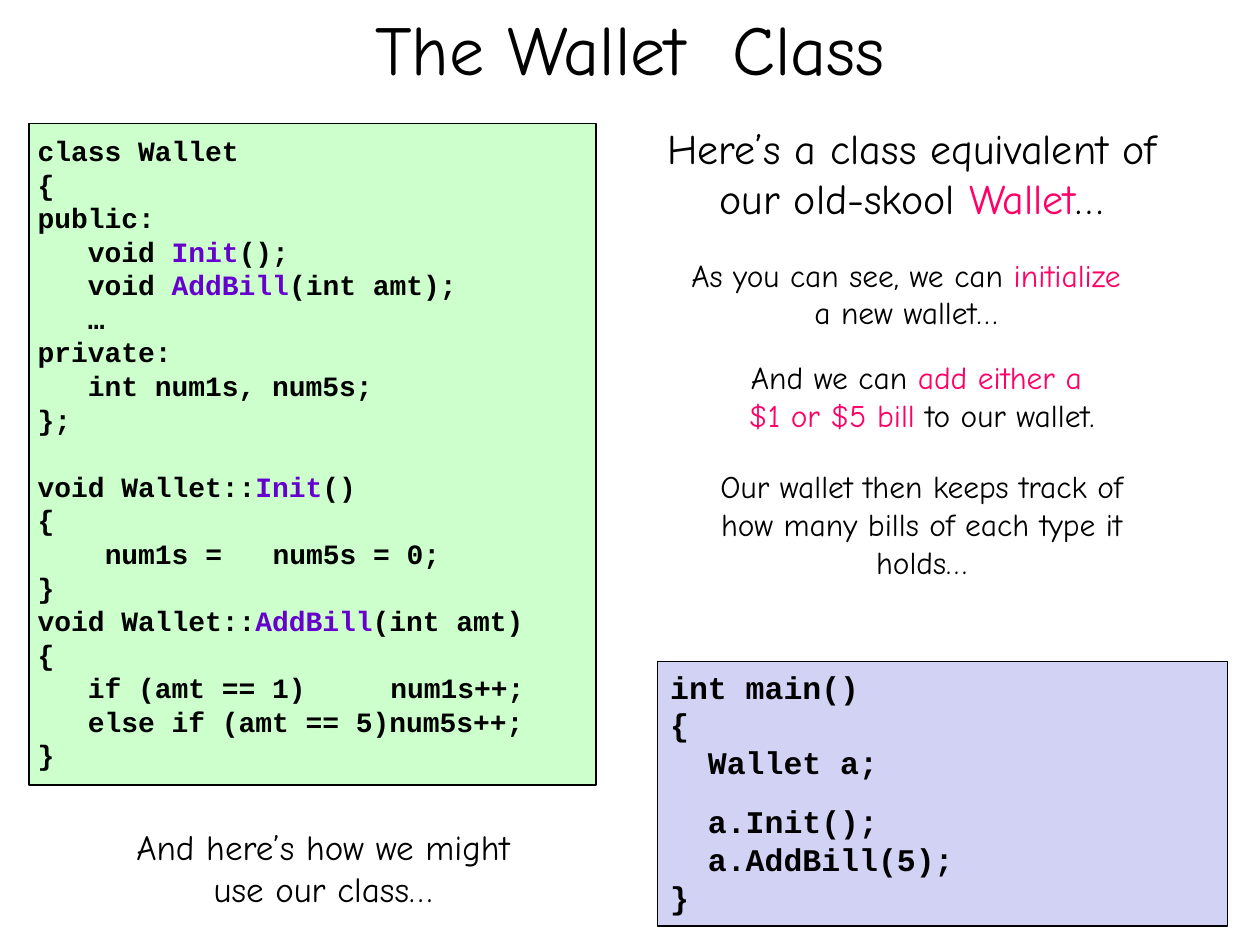
from dataclasses import dataclass

from lxml import etree
from pptx import Presentation
from pptx.dml.color import RGBColor
from pptx.enum.shapes import MSO_SHAPE
from pptx.enum.text import MSO_ANCHOR, MSO_AUTO_SIZE, PP_ALIGN
from pptx.oxml.ns import qn
from pptx.util import Inches, Pt

RECT = MSO_SHAPE.RECTANGLE
TOP, MIDDLE = MSO_ANCHOR.TOP, MSO_ANCHOR.MIDDLE
NO_FIT = MSO_AUTO_SIZE.NONE
LEFT, CENTER = PP_ALIGN.LEFT, PP_ALIGN.CENTER
TITLE_ONLY = 5


@dataclass(frozen=True)
class Theme:
    prose_font: str = "Comic Neue"
    code_font: str = "Courier New"
    ink: str = "000000"
    pink: str = "FF0066"
    purple: str = "6600CC"
    green: str = "CCFFCC"
    lavender: str = "D2D2F4"
    title: int = 40
    lead: int = 24
    closing: int = 20
    note: int = 18
    class_code: int = 16
    main_code: int = 18
    border: float = 0.75
    char_width: float = 0.6


CLASS_CODE = [
    ("class Wallet",),
    ("{",),
    ("public:",),
    ("\tvoid |Init|();", 3),
    ("\tvoid |AddBill|(int amt);", 3),
    ("\t…", 3),
    ("private:",),
    ("\tint num1s, num5s;", 3),
    ("};",),
    ("void Wallet::|Init|()",),
    ("{",),
    ("\tnum1s =\tnum5s = 0;", 4, 14),
    ("}",),
    ("void Wallet::|AddBill|(int amt)",),
    ("{",),
    ("\tif (amt == 1)\tnum1s++;", 3, 21),
    ("\telse if (amt == 5)num5s++;", 3),
    ("}",),
]

MAIN_CODE = [
    ("int main()",),
    ("{",),
    ("\tWallet a;", 2),
    ("\ta.Init();", 2),
    ("\ta.AddBill(5);", 2),
    ("}",),
]


class SlideBuilder:
    def __init__(self, slide, theme):
        self.slide = slide
        self.theme = theme

    def add_runs(self, p, text, font, size, accent, bold=False):
        for i, segment in enumerate(text.split("|")):
            for j, line in enumerate(segment.split("\n")):
                if j:
                    p.add_line_break()
                r = p.add_run()
                r.text = line
                r.font.name = font
                r.font.size = Pt(size)
                r.font.bold = bold
                r.font.color.rgb = RGBColor.from_string(accent if i % 2 else self.theme.ink)

    def prose(self, tf, text, size):
        p = tf.paragraphs[0]
        p.alignment = CENTER
        self.add_runs(p, text, self.theme.prose_font, size, self.theme.pink)

    def title(self, text, x, y, w, h):
        sp = self.slide.shapes.title
        sp.left, sp.top, sp.width, sp.height = map(Inches, (x, y, w, h))
        tf = sp.text_frame
        tf.auto_size = NO_FIT
        tf.vertical_anchor = MIDDLE
        self.prose(tf, text, self.theme.title)

    def text_box(self, x, y, w, h, wrap=True):
        sp = self.slide.shapes.add_textbox(*map(Inches, (x, y, w, h)))
        sp.text_frame.word_wrap = wrap
        return sp.text_frame

    def note(self, text, size, x, y, w, h, wrap=True):
        self.prose(self.text_box(x, y, w, h, wrap), text, size)

    def panel(self, fill, x, y, w, h):
        sp = self.slide.shapes.add_shape(RECT, *map(Inches, (x, y, w, h)))
        sp.shadow.inherit = False
        sp.fill.solid()
        sp.fill.fore_color.rgb = RGBColor.from_string(fill)
        sp.line.color.rgb = RGBColor.from_string(self.theme.ink)
        sp.line.width = Pt(self.theme.border)
        return sp.text_frame

    def tab_stops(self, p, columns, size):
        tabs = etree.SubElement(p._p.get_or_add_pPr(), qn("a:tabLst"))
        for column in columns:
            pos = Pt(column * size * self.theme.char_width)
            etree.SubElement(tabs, qn("a:tab"), pos=str(int(pos)), algn="l")

    def code(self, tf, lines, size, gap_line, gap):
        tf.vertical_anchor = TOP
        for i, (text, *columns) in enumerate(lines):
            p = tf.add_paragraph() if i else tf.paragraphs[0]
            p.alignment = LEFT
            if i == gap_line:
                p.space_before = Pt(gap)
            if columns:
                self.tab_stops(p, columns, size)
            self.add_runs(p, text, self.theme.code_font, size, self.theme.purple, bold=True)


def main():
    prs = Presentation()
    prs.slide_width, prs.slide_height = Inches(10), Inches(7.5)
    theme = Theme()
    s = SlideBuilder(prs.slides.add_slide(prs.slide_layouts[TITLE_ONLY]), theme)

    s.panel(theme.green, 0.23, 0.98, 4.5, 5.25)
    s.code(s.text_box(0.2, 1.01, 5, 5.49), CLASS_CODE, theme.class_code, gap_line=9, gap=19.2)
    s.title("The Wallet  Class", 0.75, -0.25, 8.5, 1.25)

    s.note("Here’s a class equivalent of\nour old-skool |Wallet|…",
           theme.lead, 5, 0.92, 4.47, 0.91, wrap=False)
    s.note("As you can see, we can |initialize| a new wallet…",
           theme.note, 5.3, 1.98, 3.78, 0.71)
    s.note("And we can |add either a \n$1 or $5 bill| to our wallet.",
           theme.note, 5.05, 2.79, 4.53, 0.71)
    s.note("Our wallet then keeps track of how many bills of each type it holds…",
           theme.note, 5.5, 3.66, 3.63, 1.01)

    main_panel = s.panel(theme.lavender, 5.22, 5.25, 4.52, 2.1)
    s.code(main_panel, MAIN_CODE, theme.main_code, gap_line=3, gap=12)
    s.note("And here’s how we might use our class…", theme.closing, 0.75, 6.5, 3.63, 0.77)

    prs.save("out.pptx")


if __name__ == "__main__":
    main()
